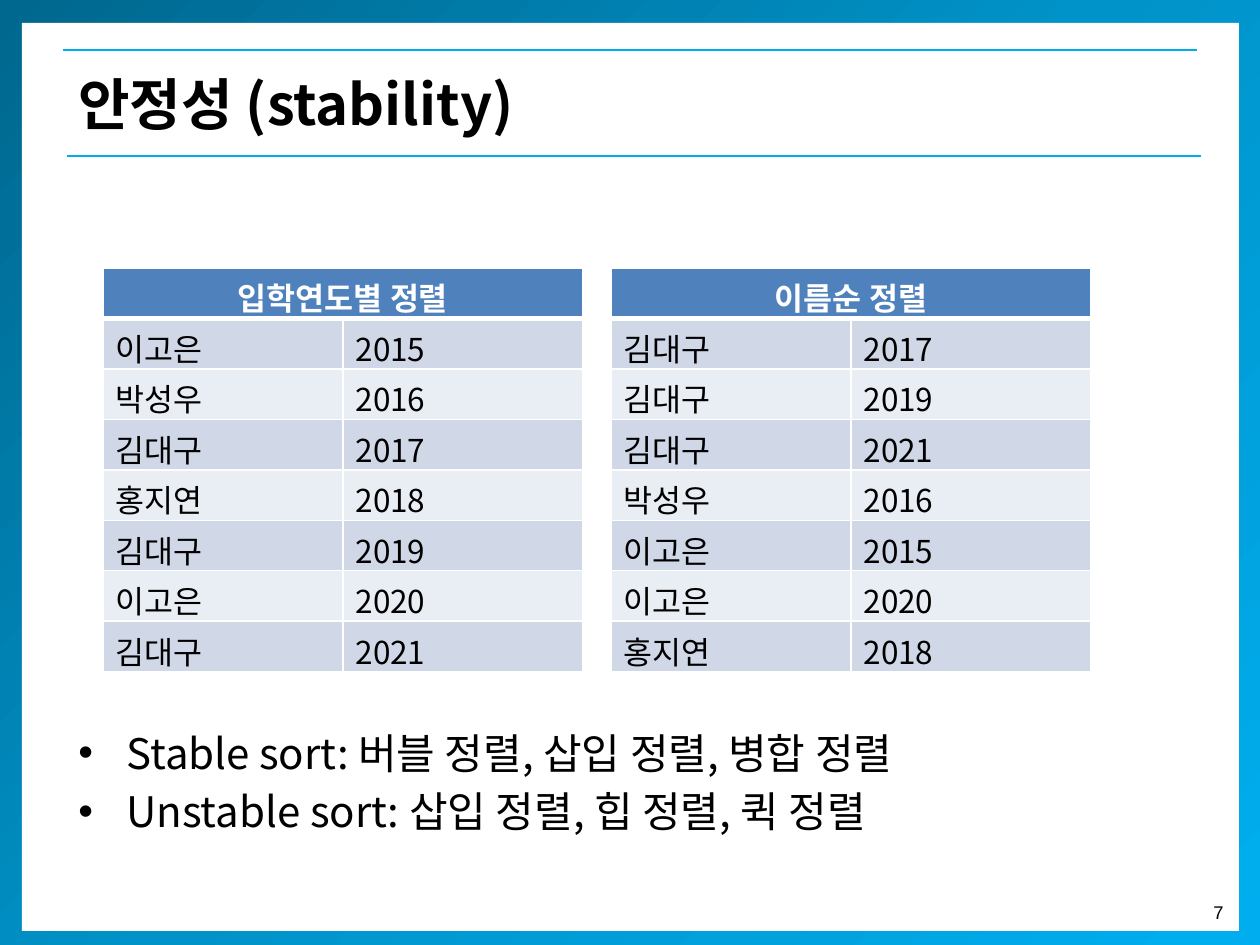
from dataclasses import dataclass

from lxml import etree
from pptx import Presentation
from pptx.dml.color import RGBColor
from pptx.enum.shapes import MSO_CONNECTOR, MSO_SHAPE
from pptx.enum.text import MSO_ANCHOR, PP_ALIGN
from pptx.oxml import parse_xml
from pptx.oxml.ns import qn
from pptx.util import Emu, Pt

SCALE = 914400 / 126
WIDTH, HEIGHT = 1260, 945
FONT = "Noto Sans CJK KR"
NAMESPACE = 'xmlns:a="http://schemas.openxmlformats.org/drawingml/2006/main"'
COLORS = {
    "deep": "00678E", "middle": "0093C9", "bright": "00AEEF",
    "white": "FFFFFF", "black": "000000",
    "header": "4F81BD", "odd": "D0D8E8", "even": "E9EDF4",
}


@dataclass(frozen=True)
class Rule:
    left: int
    top: int


@dataclass(frozen=True)
class StudentTable:
    left: int
    heading: str
    students: list[tuple[str, str]]


RULES = [Rule(63, 50), Rule(67, 156)]
TABLES = [
    StudentTable(103, "입학연도별 정렬", [
        ("이고은", "2015"), ("박성우", "2016"), ("김대구", "2017"), ("홍지연", "2018"),
        ("김대구", "2019"), ("이고은", "2020"), ("김대구", "2021"),
    ]),
    StudentTable(611, "이름순 정렬", [
        ("김대구", "2017"), ("김대구", "2019"), ("김대구", "2021"), ("박성우", "2016"),
        ("이고은", "2015"), ("이고은", "2020"), ("홍지연", "2018"),
    ]),
]
SORTS = [
    "Stable sort: 버블 정렬, 삽입 정렬, 병합 정렬",
    "Unstable sort: 삽입 정렬, 힙 정렬, 퀵 정렬",
]


def px(value: int) -> Emu:
    return Emu(round(value * SCALE))


def color(name: str) -> RGBColor:
    return RGBColor.from_string(COLORS[name])


def write(paragraph, text: str, *, size: float, font: str = FONT, ink: str = "black",
          bold: bool = False, align=PP_ALIGN.LEFT) -> None:
    paragraph.alignment = align
    run = paragraph.add_run()
    run.text = text
    run.font.size = Pt(size)
    run.font.bold = bold
    run.font.color.rgb = color(ink)
    run.font.name = font
    etree.SubElement(run._r.get_or_add_rPr(), qn("a:ea"), typeface=font)


def add_rectangle(slide, left: int, top: int, width: int, height: int):
    shape = slide.shapes.add_shape(
        MSO_SHAPE.RECTANGLE, px(left), px(top), px(width), px(height))
    shape.shadow.inherit = False
    shape.line.fill.background()
    shape.fill.solid()
    shape.fill.fore_color.rgb = color("white")
    return shape


def add_frame(slide) -> None:
    """Draw the diagonal gradient border and the white page on it."""
    border = add_rectangle(slide, 0, 0, WIDTH, HEIGHT)
    stops = "".join(
        f'<a:gs pos="{position}"><a:srgbClr val="{COLORS[name]}"/></a:gs>'
        for position, name in ((0, "deep"), (50000, "middle"), (100000, "bright")))
    gradient = parse_xml(
        f'<a:gradFill {NAMESPACE} rotWithShape="1"><a:gsLst>{stops}</a:gsLst>'
        '<a:lin ang="2700000" scaled="0"/></a:gradFill>')
    properties = border._element.spPr
    properties.replace(properties.find(qn("a:solidFill")), gradient)
    add_rectangle(slide, 22, 23, 1217, 908)


def add_rule(slide, rule: Rule) -> None:
    line = slide.shapes.add_connector(
        MSO_CONNECTOR.STRAIGHT, px(rule.left), px(rule.top), px(rule.left + 1134), px(rule.top))
    line.line.color.rgb = color("bright")
    line.line.width = Pt(0.75)
    etree.SubElement(line._element.spPr, qn("a:effectLst"))


def add_text_frame(slide, left: int, top: int, width: int, height: int, *,
                   wrap: bool = True, anchor=MSO_ANCHOR.TOP):
    frame = slide.shapes.add_textbox(px(left), px(top), px(width), px(height)).text_frame
    frame.word_wrap = wrap
    frame.vertical_anchor = anchor
    return frame


def style_cell(cell, fill: str, bottom: float = 1) -> None:
    """Fill the cell and give it white borders, with the bottom one in points."""
    properties = cell._tc.get_or_add_tcPr()
    for side, width in (("L", 1), ("R", 1), ("T", 1), ("B", bottom)):
        properties.append(parse_xml(
            f'<a:ln{side} {NAMESPACE} w="{Pt(width)}"><a:solidFill>'
            f'<a:srgbClr val="{COLORS["white"]}"/></a:solidFill></a:ln{side}>'))
    cell.fill.solid()
    cell.fill.fore_color.rgb = color(fill)


def add_student_table(slide, data: StudentTable) -> None:
    rows = len(data.students) + 1
    table = slide.shapes.add_table(
        rows, 2, px(data.left), px(268), px(480), px(403)).table
    for cell in table.rows[0].cells:
        style_cell(cell, "header", bottom=3)
    heading = table.cell(0, 0)
    heading.merge(table.cell(0, 1))
    write(heading.text_frame.paragraphs[0], data.heading, size=18, ink="white",
          bold=True, align=PP_ALIGN.CENTER)
    for row, student in enumerate(data.students, start=1):
        for column, text in enumerate(student):
            cell = table.cell(row, column)
            style_cell(cell, "odd" if row % 2 else "even")
            write(cell.text_frame.paragraphs[0], text, size=18)


def add_bullets(slide, texts: list[str]) -> None:
    frame = add_text_frame(slide, 66, 721, 1063, 146)
    for index, text in enumerate(texts):
        paragraph = frame.add_paragraph() if index else frame.paragraphs[0]
        properties = paragraph._p.get_or_add_pPr()
        properties.set("marL", str(px(48)))
        properties.set("indent", str(-px(48)))
        etree.SubElement(properties, qn("a:buFont"), typeface="Arial")
        etree.SubElement(properties, qn("a:buChar"), char="•")
        if index:
            paragraph.space_before = Pt(4.8)
        write(paragraph, text, size=24)


def main() -> None:
    presentation = Presentation()
    presentation.slide_width, presentation.slide_height = px(WIDTH), px(HEIGHT)
    slide = presentation.slides.add_slide(presentation.slide_layouts[6])
    add_frame(slide)
    number = add_text_frame(slide, 1187, 895, 49, 35, wrap=False)
    write(number.paragraphs[0], "7", size=10.5, font="Arial", align=PP_ALIGN.RIGHT)
    for rule in RULES:
        add_rule(slide, rule)
    title = add_text_frame(slide, 66, 50, 1143, 106, anchor=MSO_ANCHOR.MIDDLE)
    write(title.paragraphs[0], "안정성 (stability)", size=32, bold=True)
    for data in TABLES:
        add_student_table(slide, data)
    add_bullets(slide, SORTS)
    presentation.save("out.pptx")


if __name__ == "__main__":
    main()
